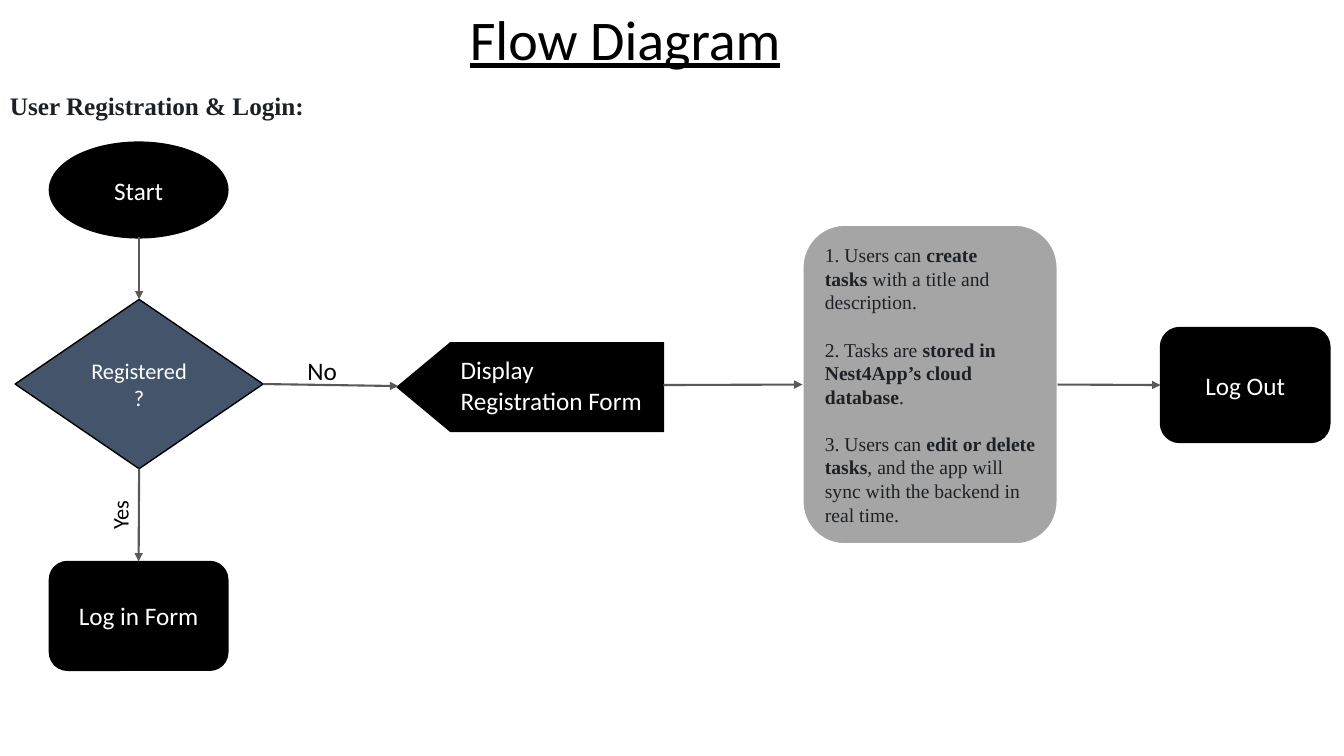
"""Build the user registration and login flow diagram slide."""
from pptx import Presentation
from pptx.dml.color import RGBColor
from pptx.enum.shapes import MSO_CONNECTOR, MSO_SHAPE
from pptx.enum.text import MSO_ANCHOR, MSO_AUTO_SIZE, PP_ALIGN
from pptx.oxml.ns import qn
from pptx.util import Inches, Pt
from lxml.etree import SubElement

BLACK = RGBColor(0x00, 0x00, 0x00)
WHITE = RGBColor(0xFF, 0xFF, 0xFF)
SLATE = RGBColor(0x44, 0x54, 0x6A)
GRAY = RGBColor(0xA5, 0xA5, 0xA5)
ARROW = RGBColor(0x59, 0x59, 0x59)
INK = RGBColor(0x1D, 0x21, 0x25)


def style(p, size, color, name="Calibri", bold=False):
    p.font.size, p.font.name, p.font.bold = Pt(size), name, bold
    p.font.color.rgb = color


def add_node(s, kind, box, fill, text="", size=18, line=BLACK, width=1):
    sp = s.shapes.add_shape(kind, *map(Inches, box))
    sp.shadow.inherit = False
    sp.fill.solid()
    sp.fill.fore_color.rgb = fill
    sp.line.color.rgb = line
    sp.line.width = Pt(width)
    if text:
        p = sp.text_frame.paragraphs[0]
        p.text = text
        p.alignment = PP_ALIGN.CENTER
        style(p, size, WHITE)
    return sp


prs = Presentation()
prs.slide_width, prs.slide_height = Inches(13.33), Inches(7.5)
s = prs.slides.add_slide(prs.slide_layouts[5])

title = s.shapes.title
title.left, title.top, title.width, title.height = map(Inches, (4.54, -0.01, 3.32, 0.77))
tf = title.text_frame
tf.text = "Flow Diagram"
tf.word_wrap = False
tf.auto_size = MSO_AUTO_SIZE.NONE
tf.vertical_anchor = MSO_ANCHOR.TOP
p = tf.paragraphs[0]
p.alignment = PP_ALIGN.CENTER
p.font.underline = True
style(p, 40, BLACK)

start = add_node(s, MSO_SHAPE.OVAL, (0.49, 1.41, 1.77, 0.95), BLACK, "Start")
registered = add_node(s, MSO_SHAPE.DIAMOND, (0.15, 2.97, 2.46, 1.68), SLATE, "Registered?", 16)
login = add_node(s, MSO_SHAPE.ROUNDED_RECTANGLE, (0.49, 5.57, 1.77, 1.08), BLACK, "Log in Form")
display = add_node(s, MSO_SHAPE.FLOWCHART_OFFPAGE_CONNECTOR, (4.82, 2.52, 0.88, 2.64), BLACK)
display.rotation = 90
tasks = add_node(s, MSO_SHAPE.FLOWCHART_ALTERNATE_PROCESS, (7.96, 2.23, 2.53, 3.17), GRAY,
                 line=WHITE, width=1.5)
logout = add_node(s, MSO_SHAPE.FLOWCHART_ALTERNATE_PROCESS, (11.51, 3.25, 1.68, 1.14), BLACK, "Log Out")

steps = [
    ("1. Users can\u00a0", "create tasks", "\u00a0with a title and description."),
    ("2. Tasks are\u00a0", "stored in Nest4App’s cloud database", "."),
    ("3. Users can\u00a0", "edit or delete tasks",
     ", and the app will sync with the backend in real time."),
]
tf = tasks.text_frame
for i, (lead, strong, rest) in enumerate(steps):
    p = tf.paragraphs[0] if i == 0 else tf.add_paragraph()
    p.alignment = PP_ALIGN.LEFT
    p.space_before = Pt(17 if i else 0)
    style(p, 14, INK, "Times New Roman")
    for text in (lead, strong, rest):
        r = p.add_run()
        r.text = text
        r.font.bold = text == strong

labels = [
    ("User Registration & Login:", (0, 0.85, 5.3, 0.4), 18, INK, "Times New Roman", True, 0),
    ("Yes", (0.55, 4.53, 1.28, 0.37), 16, BLACK, "Calibri", False, 270),
    ("No", (2.95, 3.48, 1.58, 0.4), 18, BLACK, "Calibri", False, 0),
    ("Display Registration Form", (4.47, 3.47, 2.1, 0.71), 18, WHITE, "Calibri", False, 0),
]
for text, box, size, color, name, bold, angle in labels:
    sp = s.shapes.add_textbox(*map(Inches, box))
    sp.rotation = angle
    tf = sp.text_frame
    tf.word_wrap = True
    tf.text = text
    style(tf.paragraphs[0], size, color, name, bold)

arrows = [
    ((1.38, 2.35, 1.38, 2.97), None, (registered, 0)),
    ((1.38, 4.65, 1.38, 5.57), (registered, 2), (login, 0)),
    ((2.61, 3.81, 3.95, 3.83), (registered, 3), None),
    ((6.58, 3.82, 7.96, 3.83), None, (tasks, 1)),
    ((10.49, 3.81, 11.51, 3.83), (tasks, 3), (logout, 1)),
]
for ends, source, target in arrows:
    c = s.shapes.add_connector(MSO_CONNECTOR.STRAIGHT, *map(Inches, ends))
    if source:
        c.begin_connect(*source)
    if target:
        c.end_connect(*target)
    c.line.color.rgb = ARROW
    c.line.width = Pt(1.5)
    SubElement(c.line._get_or_add_ln(), qn("a:tailEnd"), type="triangle")
    SubElement(c._element.spPr, qn("a:effectLst"))

prs.save("out.pptx")
